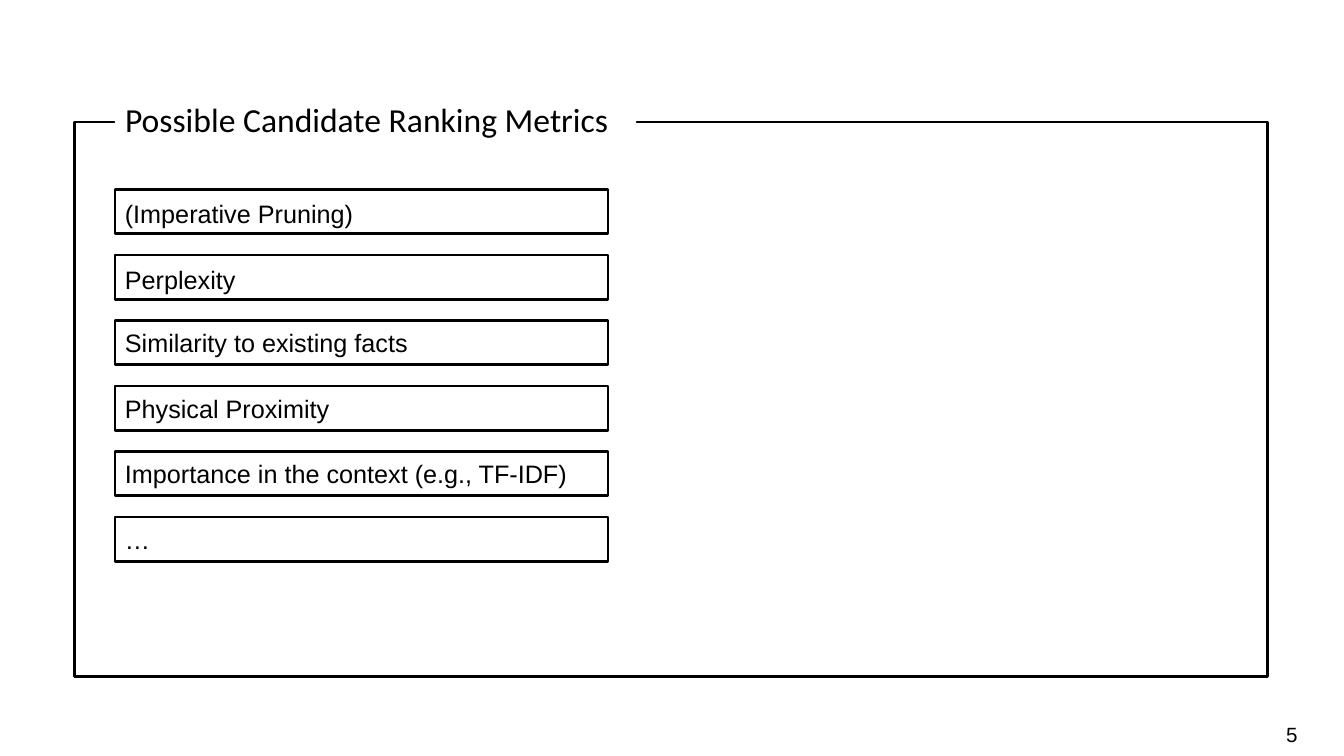
from pptx import Presentation
from pptx.dml.color import RGBColor
from pptx.enum.shapes import MSO_SHAPE
from pptx.enum.text import MSO_ANCHOR, MSO_AUTO_SIZE, PP_ALIGN
from pptx.util import Inches, Pt

INK = "000000"
PAPER = "FFFFFF"


def color(value):
    return RGBColor.from_string(value)


class SlideBuilder:
    body_font = "Arial"
    title_font = "Calibri"
    line_width = Pt(2)

    def __init__(self, deck):
        self.page = deck.slides.add_slide(deck.slide_layouts[5])

    def add_text(self, shape, text, size, font, align=PP_ALIGN.LEFT, spacing=1.0):
        frame = shape.text_frame
        frame.word_wrap = True
        frame.auto_size = MSO_AUTO_SIZE.NONE
        frame.vertical_anchor = MSO_ANCHOR.MIDDLE
        para = frame.paragraphs[0]
        para.alignment = align
        para.line_spacing = spacing
        span = para.add_run()
        span.text = text
        span.font.size = Pt(size)
        span.font.name = font
        span.font.color.rgb = color(INK)

    def box(self, left, top, width, height):
        shape = self.page.shapes.add_shape(
            MSO_SHAPE.RECTANGLE, Inches(left), Inches(top), Inches(width), Inches(height))
        shape.shadow.inherit = False
        shape.fill.solid()
        shape.fill.fore_color.rgb = color(PAPER)
        shape.line.color.rgb = color(INK)
        shape.line.width = self.line_width
        return shape

    def title(self, text, left, top, width, height):
        shape = self.page.shapes.title
        shape.left, shape.top = Inches(left), Inches(top)
        shape.width, shape.height = Inches(width), Inches(height)
        shape.fill.solid()
        shape.fill.fore_color.rgb = color(PAPER)
        self.add_text(shape, text, 24, self.title_font, spacing=1.14)
        shape.element.getparent().append(shape.element)

    def metric(self, text, left, top, width, height, spacing):
        shape = self.box(left, top, width, height)
        self.add_text(shape, text, 18, self.body_font, spacing=spacing)

    def page_number(self, text, left, top, width, height):
        shape = self.page.shapes.add_textbox(
            Inches(left), Inches(top), Inches(width), Inches(height))
        shape.text_frame.margin_left = shape.text_frame.margin_right = 0
        self.add_text(shape, text, 14.7, self.body_font, PP_ALIGN.RIGHT)


METRICS = [
    ("(Imperative Pruning)", 1.14),
    ("Perplexity", 1.14),
    ("Similarity to existing facts", 1.0),
    ("Physical Proximity", 1.0),
    ("Importance in the context (e.g., TF-IDF)", 1.0),
    ("…", 1.0),
]
METRIC_LEFT = 1.14
METRIC_TOP = 1.88
METRIC_STEP = 0.65

deck = Presentation()
deck.slide_width = Inches(13.33)
deck.slide_height = Inches(7.5)

builder = SlideBuilder(deck)
builder.page_number("5", 9.88, 7.08, 2.99, 0.4)
builder.box(0.74, 1.21, 11.83, 5.5)
builder.title("Possible Candidate Ranking Metrics", METRIC_LEFT, 0.9, 5.17, 0.51)
for row, (metric, spacing) in enumerate(METRICS):
    builder.metric(metric, METRIC_LEFT, METRIC_TOP + row * METRIC_STEP, 4.89, 0.44, spacing)

deck.save("out.pptx")
